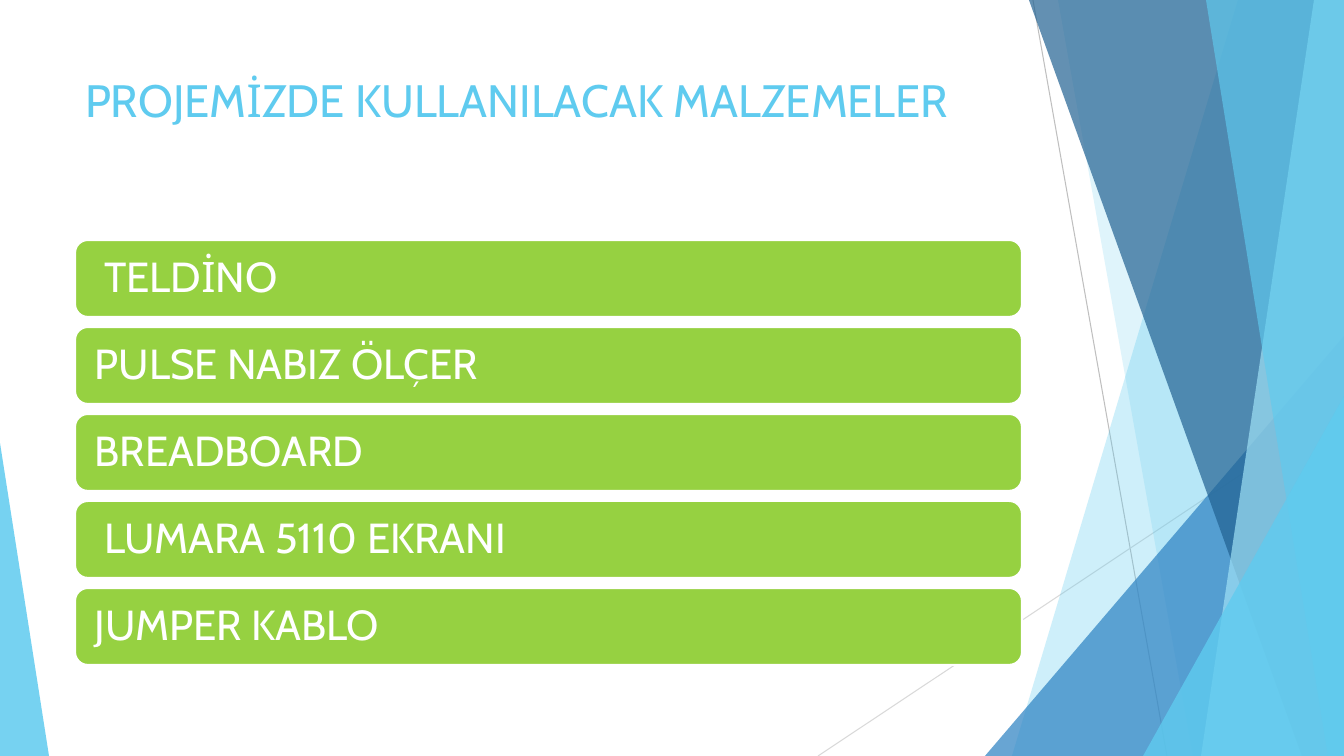
"""Build the project materials slide."""
from dataclasses import dataclass

from lxml import etree
from pptx import Presentation
from pptx.dml.color import RGBColor
from pptx.enum.shapes import MSO_CONNECTOR, MSO_SHAPE
from pptx.enum.text import MSO_ANCHOR, PP_ALIGN
from pptx.oxml.ns import qn
from pptx.util import Pt

STRAIGHT = MSO_CONNECTOR.STRAIGHT
TRIANGLE = MSO_SHAPE.ISOSCELES_TRIANGLE
ROUNDED = MSO_SHAPE.ROUNDED_RECTANGLE
TOP, MIDDLE = MSO_ANCHOR.TOP, MSO_ANCHOR.MIDDLE
LEFT = PP_ALIGN.LEFT

WIDTH, HEIGHT = 1344, 756
EMU_PER_PIXEL = 12192000 / WIDTH
TITLE_ONLY = 5


@dataclass(frozen=True)
class Theme:
    """Colours, font and type sizes of the slide."""
    sky: str = "5FCBEF"
    pale: str = "9FE0F5"
    blue: str = "2E83C3"
    navy: str = "226292"
    green: str = "96D141"
    white: str = "FFFFFF"
    grey: str = "BFBFBF"
    light_grey: str = "D9D9D9"
    font: str = "Cabin"
    title_size: float = 32.4
    item_size: float = 30
    hairline: float = 0.75
    border: float = 1.5


THEME = Theme()
TITLE = "PROJEMİZDE KULLANILACAK MALZEMELER"
MATERIALS = ["\u00a0TELDİNO", "PULSE NABIZ ÖLÇER", "BREADBOARD",
             "\u00a0LUMARA 5110 EKRANI", "JUMPER KABLO"]
COLUMN_LEFT, COLUMN_WIDTH = 75, 947
BAR_TOP, BAR_HEIGHT, BAR_PITCH = 240, 77, 87


def px(pixels):
    """Turn pixels into EMU."""
    return round(pixels * EMU_PER_PIXEL)


def paint(shape, color, opacity=100):
    """Give a shape a flat fill of some opacity, with no line or shadow."""
    shape.shadow.inherit = False
    shape.line.fill.background()
    shape.fill.solid()
    shape.fill.fore_color.rgb = RGBColor.from_string(color)
    if opacity < 100:
        tint = shape.fill._xPr.find(qn("a:solidFill"))[0]
        etree.SubElement(tint, qn("a:alpha"), val=str(opacity * 1000))


def add_hairline(page, start, end, color):
    """Draw a thin straight line."""
    line = page.shapes.add_connector(STRAIGHT, *map(px, start + end))
    line.line.color.rgb = RGBColor.from_string(color)
    line.line.width = Pt(THEME.hairline)
    etree.SubElement(line._element.spPr, qn("a:effectLst"))


def add_band(page, top_left, bottom_left, color, opacity):
    """Draw a full-height band with a slanted left edge, up to the right edge."""
    builder = page.shapes.build_freeform(top_left, 0, scale=EMU_PER_PIXEL)
    builder.add_line_segments([(WIDTH, 0), (WIDTH, HEIGHT), (bottom_left, HEIGHT)])
    paint(builder.convert_to_shape(), color, opacity)


def add_corner(page, left, top, width, apex, color, opacity):
    """Draw a right triangle standing on the bottom edge."""
    corner = page.shapes.add_shape(
        TRIANGLE, px(left), px(top), px(width), px(HEIGHT - top))
    corner.adjustments[0] = apex
    paint(corner, color, opacity)


def add_facets(page):
    """Draw the translucent backdrop from back to front."""
    add_hairline(page, (1033, 0), (1167, HEIGHT), THEME.grey)
    add_hairline(page, (WIDTH, 406), (818, HEIGHT), THEME.light_grey)
    add_band(page, 1238, 1012, THEME.sky, 30)
    add_band(page, 1058, 1193, THEME.sky, 20)
    add_corner(page, 985, 336, 359, 1, THEME.blue, 72)
    add_band(page, 1029, 1302, THEME.navy, 70)
    add_band(page, 1314, 1201, THEME.pale, 70)
    add_band(page, 1206, 1328, THEME.sky, 65)
    add_corner(page, 1143, 396, 201, 1, THEME.sky, 80)
    add_corner(page, 0, 443, 49, 0, THEME.sky, 85)


def write(box, text, size, color, anchor):
    """Put one left-aligned run of text in a box and return its paragraph."""
    frame = box.text_frame
    frame.word_wrap = True
    frame.vertical_anchor = anchor
    para = frame.paragraphs[0]
    para.alignment = LEFT
    span = para.add_run()
    span.text = text
    span.font.name = THEME.font
    span.font.size = Pt(size)
    span.font.color.rgb = RGBColor.from_string(color)
    return para


def place_title(page):
    """Move the title placeholder and fill it."""
    title = page.shapes.title
    title.left, title.top = px(COLUMN_LEFT), px(67)
    title.width, title.height = px(COLUMN_WIDTH), px(145)
    write(title, TITLE, THEME.title_size, THEME.sky, TOP)


def add_material(page, top, text):
    """Draw one green bar with the name of a material."""
    bar = page.shapes.add_shape(
        ROUNDED, px(COLUMN_LEFT), px(top), px(COLUMN_WIDTH), px(BAR_HEIGHT))
    paint(bar, THEME.green)
    bar.line.color.rgb = RGBColor.from_string(THEME.white)
    bar.line.width = Pt(THEME.border)
    frame = bar.text_frame
    frame.margin_left = frame.margin_right = px(16)
    frame.margin_top = frame.margin_bottom = px(12)
    para = write(bar, text, THEME.item_size, THEME.white, MIDDLE)
    para.line_spacing = 0.9


def main():
    """Build and save the deck."""
    deck = Presentation()
    deck.slide_width, deck.slide_height = px(WIDTH), px(HEIGHT)
    page = deck.slides.add_slide(deck.slide_layouts[TITLE_ONLY])
    add_facets(page)
    place_title(page)
    for row, material in enumerate(MATERIALS):
        add_material(page, BAR_TOP + row * BAR_PITCH, material)
    deck.save("out.pptx")


main()
